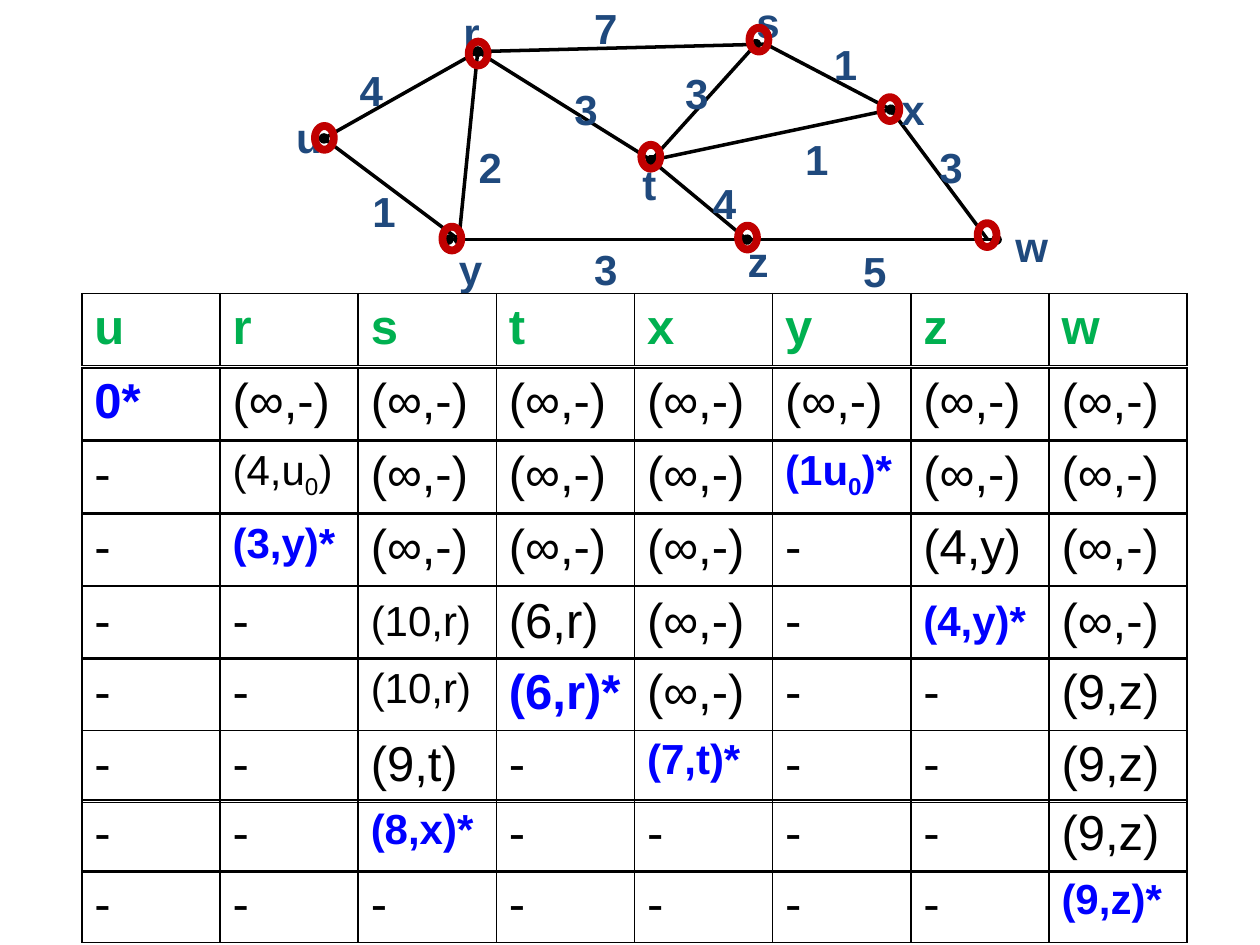
"""Build a slide with a weighted graph and its shortest-path steps."""
import pptx
import pptx.dml.color
import pptx.enum.dml
import pptx.enum.shapes
import pptx.enum.text
import pptx.oxml
import pptx.oxml.ns
import pptx.util

Cm = pptx.util.Cm
Pt = pptx.util.Pt
RGBColor = pptx.dml.color.RGBColor

FONT = "Arial"
BLACK = RGBColor(0x00, 0x00, 0x00)
NAVY = RGBColor(0x1F, 0x49, 0x7D)
GREEN = RGBColor(0x00, 0xB0, 0x50)
BLUE = RGBColor(0x00, 0x00, 0xFF)
RED = RGBColor(0xC0, 0x00, 0x00)

POINTS = {
    "u": (6.53, 2.79), "r": (9.63, 1.04), "s": (15.44, 0.89), "s left": (15.24, 0.89),
    "x": (17.96, 2.21), "t": (13.13, 3.23), "y": (9.25, 4.83), "y left": (9.04, 4.83),
    "z": (15.06, 4.83), "w": (19.91, 4.83), "w right": (20.09, 4.83),
}
EDGES = [
    ("u", "r", True), ("r", "s", False), ("u", "y", False), ("y left", "w right", True),
    ("s", "x", False), ("x", "w", False), ("r", "t", False), ("t", "s left", True),
    ("t", "z", True), ("t", "x", True), ("r", "y", True),
]
LABELS = [
    ("7", 11.73, -0.08), ("1", 16.56, 0.66), ("3", 18.69, 2.72), ("5", 17.15, 4.83),
    ("3", 11.73, 4.78), ("1", 7.26, 3.61), ("2", 9.4, 2.72), ("3", 11.33, 1.55),
    ("3", 13.56, 1.24), ("1", 15.98, 2.57), ("4", 14.12, 3.45), ("u", 5.72, 2.13),
    ("r", 9.09, 0), ("s", 15, -0.2), ("x", 17.92, 1.55), ("w", 20.22, 4.32),
    ("z", 14.82, 4.62), ("y", 9, 4.78), ("t", 12.7, 3.07), ("4", 7, 1.17),
]
LABEL_WIDTHS = {"r": 0.74, "t": 0.69, "w": 1.04}
RINGS = [
    (6.35, 2.54), (9.45, 0.84), (8.92, 4.57), (14.88, 4.55),
    (12.93, 2.92), (17.75, 1.96), (15.11, 0.56), (19.71, 4.5),
]
STEPS = [
    (5.92, "u r s t x y z w"),
    (7.42, "0* (∞,-) (∞,-) (∞,-) (∞,-) (∞,-) (∞,-) (∞,-)"),
    (8.89, "- (4,u_0_) (∞,-) (∞,-) (∞,-) (1u_0_)* (∞,-) (∞,-)"),
    (10.36, "- (3,y)* (∞,-) (∞,-) (∞,-) - (4,y) (∞,-)"),
    (11.81, "- - (10,r) (6,r) (∞,-) - (4,y)* (∞,-)"),
    (13.28, "- - (10,r) (6,r)* (∞,-) - - (9,z)"),
    (14.73, "- - (9,t) - (7,t)* - - (9,z)"),
    (16.13, "- - (8,x)* - - - - (9,z)"),
    (17.55, "- - - - - - - (9,z)*"),
]
MIDDLE_TOP = 11.81
SMALL_ENTRIES = {
    "(4,u_0_)", "(1u_0_)*", "(3,y)*", "(10,r)", "(4,y)*", "(7,t)*", "(8,x)*", "(9,z)*",
}
TABLE_LEFT, COLUMN_WIDTH, ROW_HEIGHT = 1.65, 2.785, 1.45


def style_paragraph(para, size, color, bold):
    """Set the font of a whole paragraph."""
    para.font.name = FONT
    para.font.size = Pt(size)
    para.font.bold = bold
    para.font.color.rgb = color


def add_edge(slide, start, end, dotted):
    """Draw a graph edge, with round dots at both ends if dotted."""
    ends = [Cm(value) for value in POINTS[start] + POINTS[end]]
    edge = slide.shapes.add_connector(pptx.enum.shapes.MSO_CONNECTOR.STRAIGHT, *ends)
    edge.line.color.rgb = BLACK
    edge.line.width = Pt(2)
    properties = edge._element.spPr
    pptx.oxml.ns.qn("a:effectLst")
    properties.append(pptx.oxml.parse_xml(
        f'<a:effectLst {pptx.oxml.ns.nsdecls("a")}/>'))
    if dotted:
        line = edge.line._get_or_add_ln()
        for tag in ("headEnd", "tailEnd"):
            line.append(pptx.oxml.parse_xml(
                f'<a:{tag} {pptx.oxml.ns.nsdecls("a")} type="oval"/>'))


def add_label(slide, text, left, top):
    """Place a node name or an edge weight."""
    width = LABEL_WIDTHS.get(text, 0.89)
    box = slide.shapes.add_textbox(Cm(left), Cm(top), Cm(width), Cm(0.89))
    box.text_frame.word_wrap = False
    box.text_frame.auto_size = pptx.enum.text.MSO_AUTO_SIZE.SHAPE_TO_FIT_TEXT
    para = box.text_frame.paragraphs[0]
    para.text = text
    para.alignment = pptx.enum.text.PP_ALIGN.CENTER
    style_paragraph(para, 24, NAVY, True)


def add_ring(slide, left, top):
    """Circle a node of the graph."""
    ring = slide.shapes.add_shape(
        pptx.enum.shapes.MSO_SHAPE.OVAL, Cm(left), Cm(top), Cm(0.38), Cm(0.48))
    ring.shadow.inherit = False
    ring.fill.background()
    ring.line.color.rgb = RED
    ring.line.width = Pt(4.5)


def outline_cell(cell):
    """Clear the fill of a cell and give it thin borders."""
    cell.fill.background()
    properties = cell._tc.get_or_add_tcPr()
    for position, side in enumerate(("lnL", "lnR", "lnT", "lnB")):
        properties.insert(position, pptx.oxml.parse_xml(
            f'<a:{side} {pptx.oxml.ns.nsdecls("a")} w="12700"><a:solidFill>'
            f'<a:srgbClr val="{BLACK}"/></a:solidFill></a:{side}>'))


def fill_cell(cell, entry, is_header):
    """Write an entry, lowering the part between underscores."""
    para = cell.text_frame.paragraphs[0]
    chosen = entry.endswith("*")
    color = GREEN if is_header else BLUE if chosen else BLACK
    style_paragraph(para, 24 if entry in SMALL_ENTRIES else 28, color, is_header or chosen)
    for index, part in enumerate(entry.split("_")):
        span = para.add_run()
        span.text = part
        if index % 2:
            span.font._element.set("baseline", "-25000")


def add_step(slide, top, entries, is_header):
    """Add one step of the algorithm as a one-row table."""
    count = len(entries)
    table = slide.shapes.add_table(
        1, count, Cm(TABLE_LEFT), Cm(top), Cm(COLUMN_WIDTH * count), Cm(ROW_HEIGHT)).table
    table.first_row = False
    table.horz_banding = False
    for cell, entry in zip(table.rows[0].cells, entries):
        outline_cell(cell)
        fill_cell(cell, entry, is_header)
        if top == MIDDLE_TOP:
            cell.vertical_anchor = pptx.enum.text.MSO_ANCHOR.MIDDLE


def main():
    """Build and save the deck."""
    deck = pptx.Presentation()
    deck.slide_width, deck.slide_height = Cm(25.4), Cm(19.05)
    slide = deck.slides.add_slide(deck.slide_layouts[6])
    for edge in EDGES:
        add_edge(slide, *edge)
    for label in LABELS:
        add_label(slide, *label)
    for index, (top, entries) in enumerate(STEPS):
        add_step(slide, top, entries.split(), index == 0)
    for ring in RINGS:
        add_ring(slide, *ring)
    deck.save("out.pptx")


if __name__ == "__main__":
    main()
